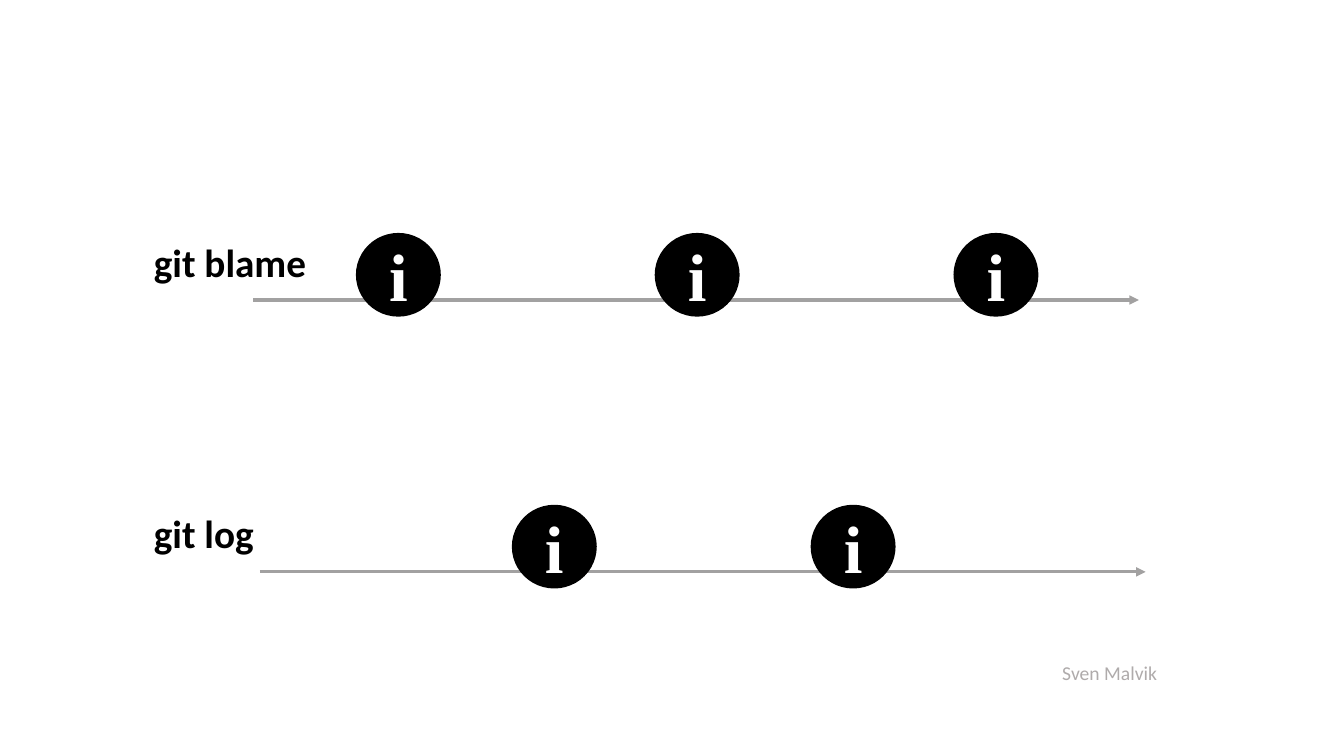
"""Build a slide comparing git blame and git log on two timelines."""
from pptx import Presentation
from pptx import util as u
from pptx.dml.color import RGBColor
from pptx.enum import shapes, text
from pptx.oxml.ns import qn
from lxml import etree


def color(value):
    return RGBColor.from_string(value)


def write(shape, words, size, font="Calibri", fill="000000", bold=False,
          align=text.PP_ALIGN.LEFT, wrap=True, fit=text.MSO_AUTO_SIZE.SHAPE_TO_FIT_TEXT):
    frame = shape.text_frame
    frame.word_wrap = wrap
    frame.auto_size = fit
    paragraph = frame.paragraphs[0]
    paragraph.alignment = align
    run = paragraph.add_run()
    run.text = words
    run.font.name = font
    run.font.size = u.Pt(size)
    run.font.bold = bold
    run.font.color.rgb = color(fill)


presentation = Presentation()
presentation.slide_width = u.Cm(33.87)
presentation.slide_height = u.Cm(19.05)
slide = presentation.slides.add_slide(presentation.slide_layouts[6])

commit_gap = 7.53
timelines = [
    ("git blame", 4.4, 5.87, 6.38, 8.97, 3),
    ("git log", 3.05, 12.72, 6.55, 12.9, 2),
]
for command, label_width, top, line_left, first_commit, commit_count in timelines:
    line_y = u.Cm(top + 1.69)
    arrow = slide.shapes.add_connector(
        shapes.MSO_CONNECTOR.STRAIGHT, u.Cm(line_left), line_y, u.Cm(line_left + 22.32), line_y)
    arrow.line.color.rgb = color("A2A1A1")
    arrow.line.width = u.Pt(2.25)
    etree.SubElement(arrow.line._get_or_add_ln(), qn("a:tailEnd"), type="triangle")
    etree.SubElement(arrow._element.spPr, qn("a:effectLst"))

    for index in range(commit_count):
        commit = slide.shapes.add_shape(
            shapes.MSO_SHAPE.OVAL, u.Cm(first_commit + index * commit_gap), u.Cm(top),
            u.Cm(2.14), u.Cm(2.11))
        commit.shadow.inherit = False
        commit.fill.solid()
        commit.fill.fore_color.rgb = color("000000")
        commit.line.fill.background()
        commit.text_frame.vertical_anchor = text.MSO_ANCHOR.MIDDLE
        write(commit, "i", 48, font="Times New Roman", fill="FFFFFF", bold=True,
              align=text.PP_ALIGN.CENTER, fit=text.MSO_AUTO_SIZE.NONE)

    label = slide.shapes.add_textbox(u.Cm(3.63), u.Cm(top), u.Cm(label_width), u.Cm(1.45))
    write(label, command, 28, bold=True, wrap=False)

author = slide.shapes.add_textbox(u.Cm(26.52), u.Cm(16.54), u.Cm(3.25), u.Cm(0.86))
write(author, "Sven Malvik", 14, fill="AFABAB")

presentation.save("out.pptx")
